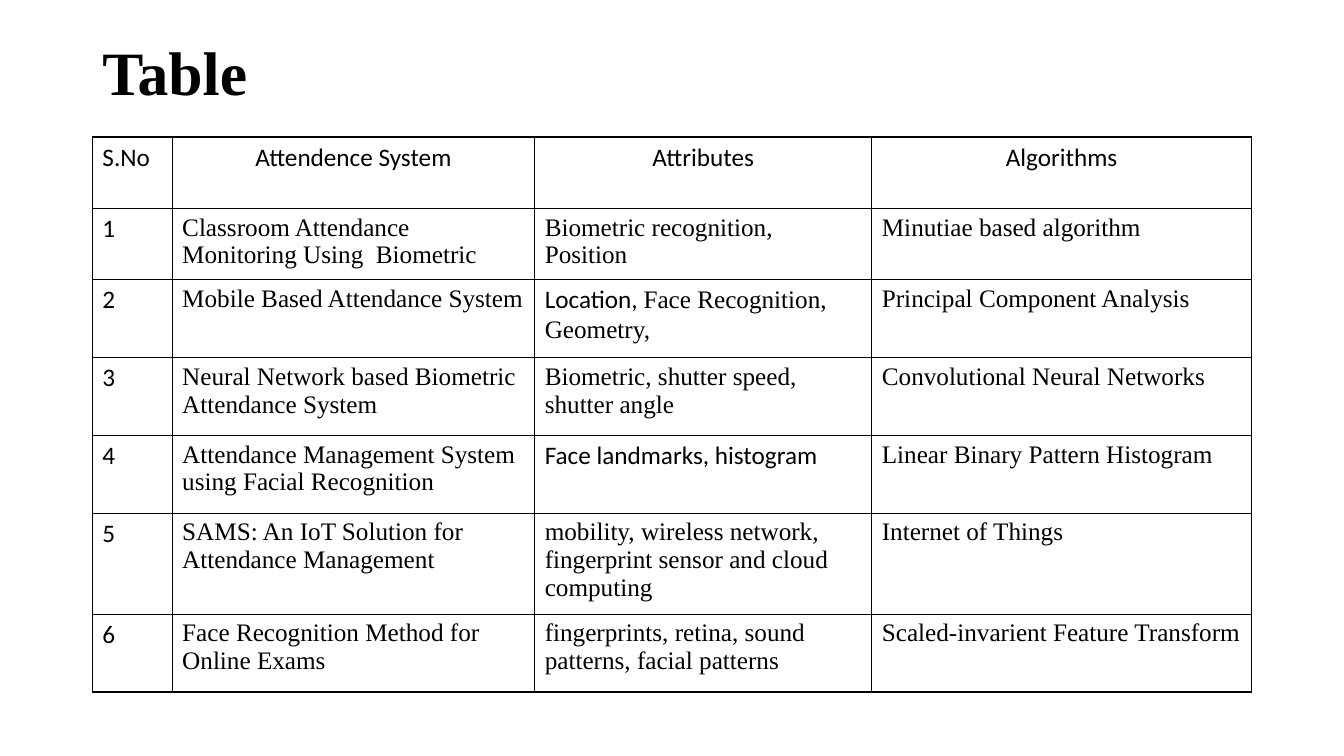
from dataclasses import dataclass

from lxml import etree
from pptx import Presentation
from pptx.dml.color import RGBColor
from pptx.enum.text import MSO_ANCHOR, PP_ALIGN
from pptx.oxml.ns import qn
from pptx.util import Pt

LEFT, CENTER = PP_ALIGN.LEFT, PP_ALIGN.CENTER
MIDDLE = MSO_ANCHOR.MIDDLE
COLORS = {"ink": "000000", "paper": "FFFFFF"}
SANS, SERIF = "Calibri", "Times New Roman"

MARGIN_LEFT, CONTENT_WIDTH = 66, 828
TITLE_TOP, TITLE_HEIGHT = 28.8, 49.7
TABLE_TOP = 97.9
COLUMN_WIDTHS = [57, 259, 240.8, 271.2]
ROW_HEIGHTS = [51, 51] + [55.6] * 5
BORDER_WIDTH = 1
BORDER_SIDES = ("a:lnL", "a:lnR", "a:lnT", "a:lnB")


@dataclass(frozen=True)
class Span:
    text: str
    font: str = SERIF


@dataclass(frozen=True)
class SystemRow:
    system: str
    attributes: tuple[Span, ...]
    algorithm: str


HEADINGS = ["S.No", "Attendence System", "Attributes", "Algorithms"]
SYSTEMS = [
    SystemRow("Classroom Attendance Monitoring Using  Biometric",
              (Span("Biometric recognition, Position"),),
              "Minutiae based algorithm"),
    SystemRow("Mobile Based Attendance System",
              (Span("Location, ", SANS), Span("Face Recognition, Geometry,")),
              "Principal Component Analysis"),
    SystemRow("Neural Network based Biometric Attendance System",
              (Span("Biometric, shutter speed, shutter angle"),),
              "Convolutional Neural Networks"),
    SystemRow("Attendance Management System using Facial Recognition",
              (Span("Face landmarks, histogram", SANS),),
              "Linear Binary Pattern Histogram"),
    SystemRow("SAMS: An IoT Solution for Attendance Management",
              (Span("mobility, wireless network, fingerprint sensor and cloud computing"),),
              "Internet of Things"),
    SystemRow("Face Recognition Method for Online Exams",
              (Span("fingerprints, retina, sound patterns, facial patterns"),),
              "Scaled-invarient Feature Transform"),
]


def add_span(paragraph, span: Span, size: float, bold: bool = False) -> None:
    run = paragraph.add_run()
    run.text = span.text
    run.font.name = span.font
    run.font.size = Pt(size)
    run.font.bold = bold
    run.font.color.rgb = RGBColor.from_string(COLORS["ink"])


def add_borders(cell) -> None:
    properties = cell._tc.get_or_add_tcPr()
    for position, side in enumerate(BORDER_SIDES):
        line = etree.Element(qn(side), w=str(int(Pt(BORDER_WIDTH))))
        fill = etree.SubElement(line, qn("a:solidFill"))
        etree.SubElement(fill, qn("a:srgbClr"), val=COLORS["ink"])
        properties.insert(position, line)


def fill_cell(cell, spans: tuple[Span, ...], alignment: PP_ALIGN) -> None:
    cell.fill.solid()
    cell.fill.fore_color.rgb = RGBColor.from_string(COLORS["paper"])
    add_borders(cell)
    paragraph = cell.text_frame.paragraphs[0]
    paragraph.alignment = alignment
    for span in spans:
        add_span(paragraph, span, 18)


def add_title(slide) -> None:
    box = slide.shapes.add_textbox(Pt(MARGIN_LEFT), Pt(TITLE_TOP),
                                   Pt(CONTENT_WIDTH), Pt(TITLE_HEIGHT))
    frame = box.text_frame
    frame.word_wrap = True
    frame.vertical_anchor = MIDDLE
    paragraph = frame.paragraphs[0]
    paragraph.line_spacing = 0.9
    add_span(paragraph, Span("Table"), 44, bold=True)


def add_systems_table(slide) -> None:
    frame = slide.shapes.add_table(len(ROW_HEIGHTS), len(COLUMN_WIDTHS),
                                   Pt(MARGIN_LEFT), Pt(TABLE_TOP),
                                   Pt(CONTENT_WIDTH), Pt(sum(ROW_HEIGHTS)))
    table = frame.table
    table.first_row = False
    table.horz_banding = False
    for column, width in zip(table.columns, COLUMN_WIDTHS):
        column.width = Pt(width)
    for row, height in zip(table.rows, ROW_HEIGHTS):
        row.height = Pt(height)

    # Heading row
    for index, heading in enumerate(HEADINGS):
        fill_cell(table.cell(0, index), (Span(heading, SANS),), CENTER if index else LEFT)

    # Numbered systems
    for number, entry in enumerate(SYSTEMS, start=1):
        contents = [(Span(str(number), SANS),), (Span(entry.system),),
                    entry.attributes, (Span(entry.algorithm),)]
        for index, spans in enumerate(contents):
            fill_cell(table.cell(number, index), spans, LEFT)


def main() -> None:
    presentation = Presentation()
    presentation.slide_width = Pt(960)
    presentation.slide_height = Pt(540)
    slide = presentation.slides.add_slide(presentation.slide_layouts[6])
    add_title(slide)
    add_systems_table(slide)
    presentation.save("out.pptx")


if __name__ == "__main__":
    main()
